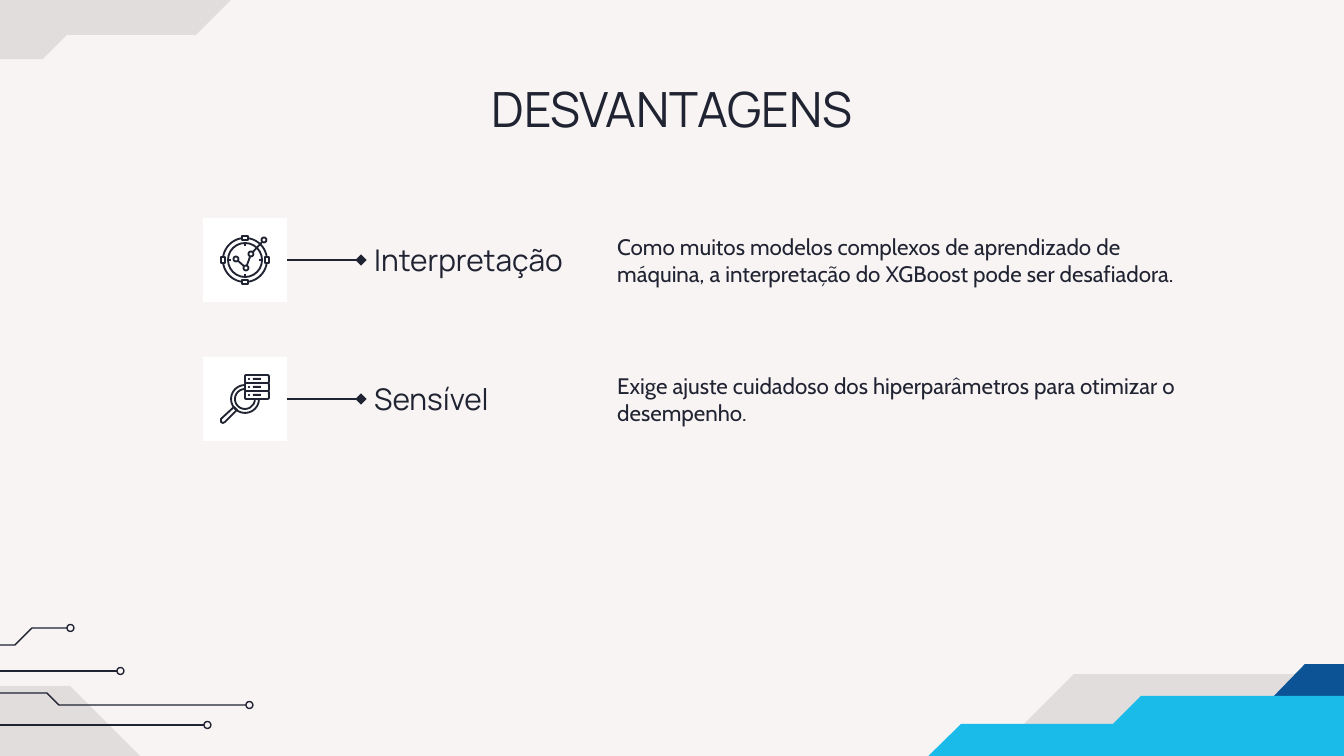
"""Build the "Desvantagens" slide with its circuit decoration and two labelled rows."""
from pptx import Presentation
from pptx import util as u
from pptx.dml.color import RGBColor
from pptx.enum import shapes, text
from pptx.oxml.ns import qn
from lxml import etree

PX = 6803.57
INK, WHITE, SHADE = "202331", "FFFFFF", "000000"
KIND = shapes.MSO_SHAPE

TITLE = "DESVANTAGENS"
ROWS = [
    ("Interpretação", 253, "Como muitos modelos complexos de aprendizado de máquina, "
                           "a interpretação do XGBoost pode ser desafiadora."),
    ("Sensível", 262, "Exige ajuste cuidadoso dos hiperparâmetros para otimizar o desempenho."),
]
BANDS = [
    (SHADE, 9, [(1320, 674), (1320, 944), (804, 944), (1074, 674)]),
    (SHADE, 9, [(-140, 59), (-140, -200), (297, -200), (297, -11), (242, -11),
                (196, 35), (67, 35), (43, 59)]),
    (SHADE, 9, [(-176, 686), (-176, 957), (341, 957), (70, 686)]),
    ("0B5394", 100, [(1453, 664), (1418, 699), (1271, 699), (1305, 664)]),
    ("1BBBE9", 100, [(1357, 696), (1357, 1001), (840, 1001), (840, 778), (906, 778),
                     (961, 724), (1113, 724), (1141, 696)]),
]
TRACES = [
    [(-106, 671), (117, 671)],
    [(-156, 645), (15, 645), (32, 628), (67, 628)],
    [(-199, 693), (47, 693), (59, 705), (246, 705)],
    [(-231, 725), (204, 725)],
]
ROW_MID, ROW_STEP = 260, 139
TILE_X, TILE = 203, 84
LABEL_X, BODY_X, BODY_W, TEXT_H = 361, 604, 589, 116


def emu(px):
    return u.Emu(round(px * PX))


def color(hex_code):
    return RGBColor.from_string(hex_code)


def paint(sp, fill=None, line=None, width=0.75, alpha=100):
    sp.shadow.inherit = False
    if fill:
        sp.fill.solid()
        sp.fill.fore_color.rgb = color(fill)
        if alpha < 100:
            clr = sp.fill._xPr.find(qn("a:solidFill"))[0]
            etree.SubElement(clr, qn("a:alpha")).set("val", str(alpha * 1000))
    else:
        sp.fill.background()
    if line:
        sp.line.color.rgb = color(line)
        sp.line.width = u.Pt(width)
    else:
        sp.line.fill.background()
    return sp


def box(s, kind, x, y, w, h, **look):
    return paint(s.shapes.add_shape(kind, *map(emu, (x, y, w, h))), **look)


def disc(s, x, y, radius, **look):
    return box(s, KIND.OVAL, x - radius, y - radius, 2 * radius, 2 * radius, **look)


def outline(s, points, closed=True, **look):
    fb = s.shapes.build_freeform(*points[0], scale=PX)
    fb.add_line_segments(points[1:], close=closed)
    return paint(fb.convert_to_shape(), **look)


def link(s, start, end, width=0.75):
    cn = s.shapes.add_connector(shapes.MSO_CONNECTOR.STRAIGHT, *map(emu, (*start, *end)))
    cn.line.color.rgb = color(INK)
    cn.line.width = u.Pt(width)
    etree.SubElement(cn._element.spPr, qn("a:effectLst"))
    return cn


def write(sp, content, font, size, anchor, align):
    tf = sp.text_frame
    inset = u.Inches(0.1)
    frame = dict(word_wrap=True, auto_size=text.MSO_AUTO_SIZE.NONE, vertical_anchor=anchor,
                 margin_left=inset, margin_right=inset, margin_top=inset, margin_bottom=inset)
    for key, value in frame.items():
        setattr(tf, key, value)
    p = tf.paragraphs[0]
    p.alignment = align
    r = p.add_run()
    r.text = content
    for key, value in dict(name=font, size=u.Pt(size), bold=False).items():
        setattr(r.font, key, value)
    r.font.color.rgb = color(INK)


def label(s, content, x, y, w, font, size):
    sp = s.shapes.add_textbox(*map(emu, (x, y, w, TEXT_H)))
    write(sp, content, font, size, text.MSO_ANCHOR.MIDDLE, text.PP_ALIGN.LEFT)
    return sp


def gauge_icon(s, x, y):
    stroke = dict(line=INK, width=1)
    disc(s, x, y, 22, **stroke)
    for dx, dy in [(0, -1), (1, 0), (0, 1), (-1, 0)]:
        w, h = (6, 4) if dy else (4, 6)
        box(s, KIND.RECTANGLE, x + 22 * dx - w / 2, y + 22 * dy - h / 2, w, h,
            fill=WHITE, **stroke)
        link(s, (x + 14 * dx, y + 14 * dy), (x + 18 * dx, y + 18 * dy), 1)
    disc(s, x, y, 17, **stroke)
    nodes = [(x - 9, y - 1), (x + 1, y + 8), (x + 6, y - 6), (x + 19, y - 20)]
    for start, end in zip(nodes, nodes[1:]):
        link(s, start, end, 1)
    for node in nodes:
        disc(s, *node, 2.5, fill=WHITE, **stroke)


def search_icon(s, x, y):
    stroke = dict(line=INK, width=1)
    handle = [(-11, 8), (-24, 20), (-24, 23), (-22, 24), (-20, 23), (-8, 11)]
    outline(s, [(x + dx, y + dy) for dx, dy in handle], **stroke)
    for radius in (14, 10):
        disc(s, x, y, radius, **stroke)
    for i in range(3):
        top = y - 24 + 8 * i
        box(s, KIND.ROUNDED_RECTANGLE, x, top, 24, 8, fill=WHITE, **stroke)
        disc(s, x + 4, top + 4, 1, fill=INK)
        box(s, KIND.ROUNDED_RECTANGLE, x + 8, top + 3, 8, 2, fill=INK)


def main():
    prs = Presentation()
    prs.slide_width, prs.slide_height = emu(1344), emu(756)
    s = prs.slides.add_slide(prs.slide_layouts[5])
    s.background.fill.solid()
    s.background.fill.fore_color.rgb = color("F8F4F4")

    for fill, alpha, points in BANDS:
        outline(s, points, fill=fill, alpha=alpha)
    for points in TRACES:
        if len(points) == 2:
            link(s, *points)
        else:
            outline(s, points, closed=False, line=INK)
        x, y = points[-1]
        disc(s, x + 3.5, y, 3.5, line=INK)

    title = s.shapes.title
    for key, px in dict(left=106, top=66, width=1133, height=85).items():
        setattr(title, key, emu(px))
    write(title, TITLE, "Manrope", 26, text.MSO_ANCHOR.TOP, text.PP_ALIGN.CENTER)

    for i, ((name, width, body), icon) in enumerate(zip(ROWS, (gauge_icon, search_icon))):
        mid = ROW_MID + i * ROW_STEP
        top = mid - TEXT_H / 2
        label(s, body, BODY_X, top, BODY_W, "Cabin", 12)
        heading = label(s, name, LABEL_X, top, width, "Manrope", 16)
        tile = box(s, KIND.RECTANGLE, TILE_X, mid - TILE / 2, TILE, TILE, fill=WHITE)
        icon(s, TILE_X + TILE / 2, mid)
        cn = link(s, (TILE_X + TILE, mid), (LABEL_X, mid))
        cn.begin_connect(tile, 3)
        cn.end_connect(heading, 1)
        etree.SubElement(cn.line._get_or_add_ln(), qn("a:tailEnd")).set("type", "diamond")

    prs.save("out.pptx")


if __name__ == "__main__":
    main()
